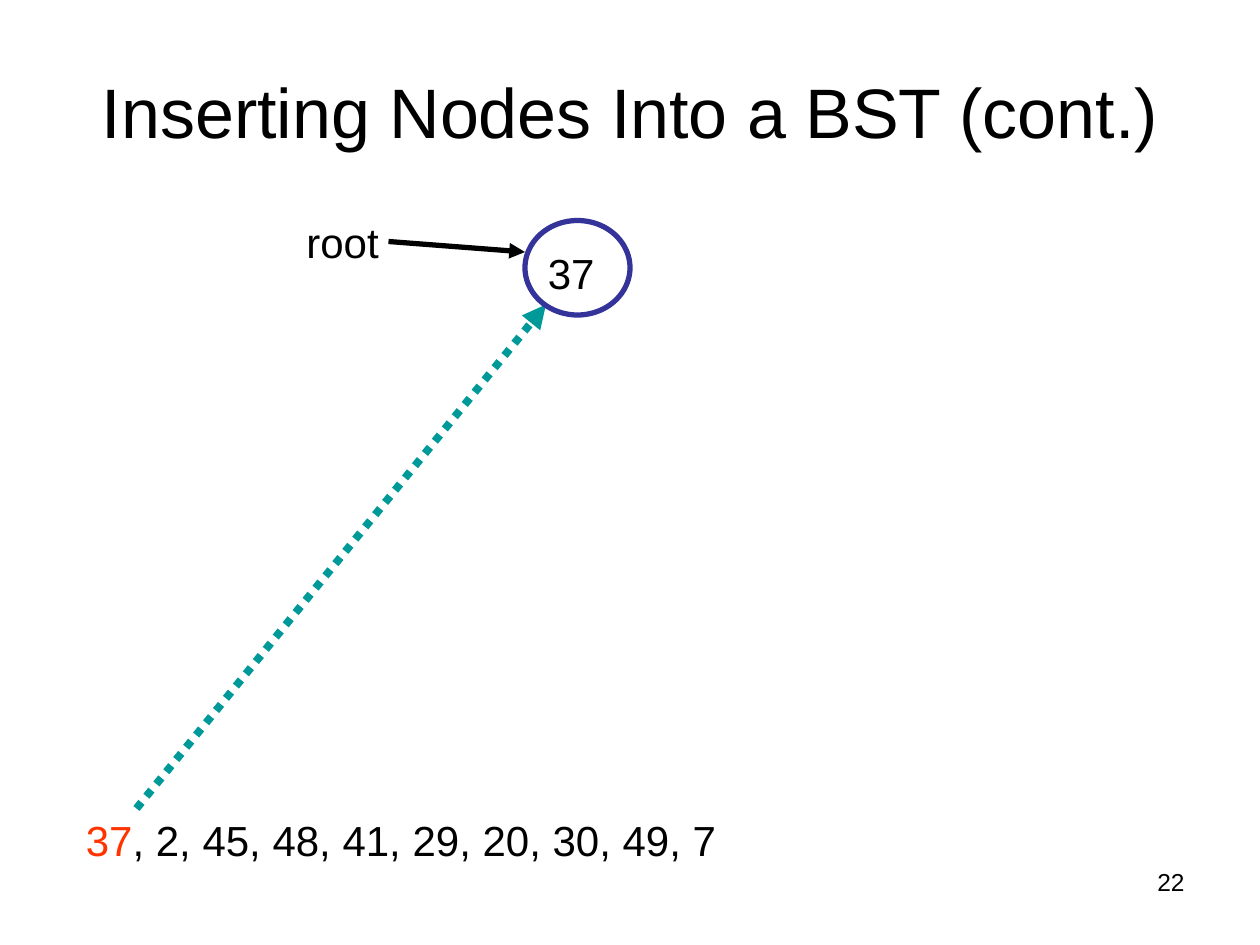
from lxml import etree
from pptx import Presentation
from pptx.dml.color import RGBColor
from pptx.enum.dml import MSO_LINE
from pptx.enum.shapes import MSO_CONNECTOR, MSO_SHAPE
from pptx.enum.text import MSO_ANCHOR, PP_ALIGN
from pptx.oxml.ns import qn
from pptx.util import Inches, Pt

BLACK = RGBColor(0x00, 0x00, 0x00)
RED = RGBColor(0xFF, 0x33, 0x00)
TEAL = RGBColor(0x00, 0x99, 0x99)
NAVY = RGBColor(0x33, 0x33, 0x99)

LEFT, CENTER, RIGHT = PP_ALIGN.LEFT, PP_ALIGN.CENTER, PP_ALIGN.RIGHT
TOP, MIDDLE = MSO_ANCHOR.TOP, MSO_ANCHOR.MIDDLE
DOTS = MSO_LINE.ROUND_DOT
STRAIGHT = MSO_CONNECTOR.STRAIGHT
OVAL = MSO_SHAPE.OVAL

FONT = "Arial"
TITLE_ONLY = 5


def grid(*cells):
    """Turn grid cells, twelve to the inch, into lengths."""
    return [Inches(cell / 12) for cell in cells]


def write(frame, *runs, size=24, align=LEFT, anchor=TOP):
    """Fill a frame with one paragraph of (text, colour) runs."""
    frame.word_wrap = True
    frame.vertical_anchor = anchor
    para = frame.paragraphs[0]
    para.alignment = align
    for text, color in runs:
        run = para.add_run()
        run.text = text
        run.font.name = FONT
        run.font.size = Pt(size)
        run.font.color.rgb = color


def add_text(slide, place, *runs, **form):
    box = slide.shapes.add_textbox(*grid(*place))
    write(box.text_frame, *runs, **form)


def add_title(slide, place, text):
    title = slide.shapes.title
    title.left, title.top, title.width, title.height = grid(*place)
    write(title.text_frame, (text, BLACK), size=40, align=CENTER, anchor=MIDDLE)


def add_node(slide, place):
    node = slide.shapes.add_shape(OVAL, *grid(*place))
    node.shadow.inherit = False
    node.fill.background()
    node.line.color.rgb = NAVY
    node.line.width = Pt(3)


def add_arrow(slide, start, end, color, width, dash=None):
    arrow = slide.shapes.add_connector(STRAIGHT, *grid(*start, *end))
    arrow.line.color.rgb = color
    arrow.line.width = Pt(width)
    if dash:
        arrow.line.dash_style = dash
    props = arrow._element.spPr
    etree.SubElement(props.find(qn("a:ln")), qn("a:tailEnd"), type="triangle")
    etree.SubElement(props, qn("a:effectLst"))


def main():
    deck = Presentation()
    deck.slide_width, deck.slide_height = grid(120, 90)
    slide = deck.slides.add_slide(deck.slide_layouts[TITLE_ONLY])

    # Title and page number
    add_title(slide, (6, 3, 108, 15), "Inserting Nodes Into a BST (cont.)")
    add_text(slide, (86, 82, 28, 6), ("22", BLACK), size=14, align=RIGHT)

    # Values to insert, with the current one in red
    add_text(slide, (7, 77, 97, 6), ("37", RED),
             (", 2, 45, 48, 41, 29, 20, 30, 49, 7", BLACK))
    add_arrow(slide, (13, 77), (52, 29), TEAL, 4.5, DOTS)

    # Root node of the tree
    add_text(slide, (28, 20, 22, 6), ("root", BLACK))
    add_node(slide, (50, 21, 10, 9))
    add_text(slide, (51, 23, 13, 6), ("37", BLACK))
    add_arrow(slide, (37, 23), (50, 24), BLACK, 3)

    deck.save("out.pptx")


if __name__ == "__main__":
    main()
